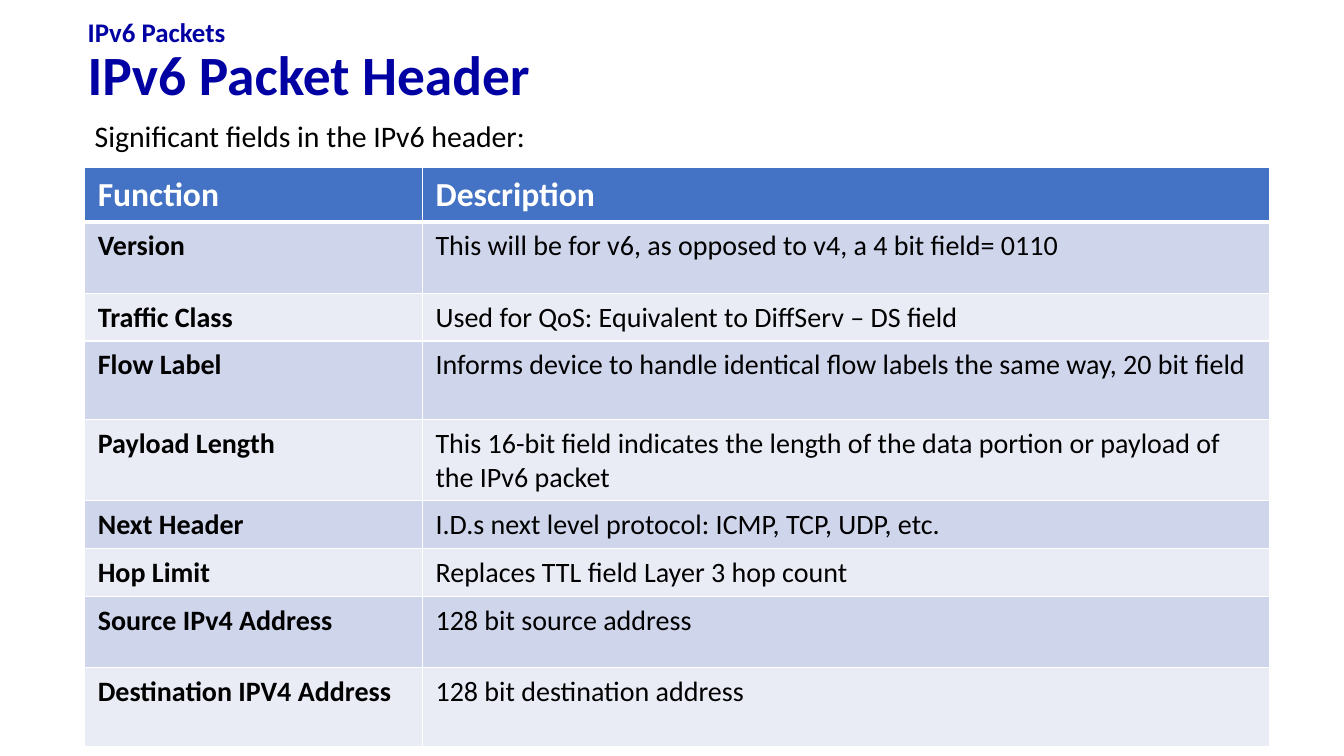
from lxml import etree
from pptx import Presentation
from pptx.dml.color import RGBColor
from pptx.enum import text
from pptx.oxml.ns import qn
from pptx.util import Inches, Pt

FONT = "Calibri"
NAVY, BLACK, WHITE = "0000A3", "000000", "FFFFFF"
HEADER_FILL = "4472C4"
BAND_FILLS = ["CFD5EA", "E9EBF5"]

COLUMN_WIDTHS = [3.35, 8.4]
ROW_HEIGHTS = [0.52, 0.71, 0.46, 0.78, 0.78, 0.46, 0.46, 0.71, 0.78]
HEADER_FIELDS = [
    ("Function", "Description"),
    ("Version", "This will be for v6, as opposed to v4, a 4 bit field= 0110"),
    ("Traffic Class", "Used for QoS: Equivalent to DiffServ – DS field"),
    ("Flow Label", "Informs device to handle identical flow labels the same way, 20 bit field"),
    ("Payload Length", "This 16-bit field indicates the length of the data portion or payload of the IPv6 packet"),
    ("Next Header", "I.D.s next level protocol: ICMP, TCP, UDP, etc."),
    ("Hop Limit", "Replaces TTL field Layer 3 hop count"),
    ("Source IPv4 Address", "128 bit source address"),
    ("Destination IPV4 Address", "128 bit destination address"),
]


def color(value):
    return RGBColor.from_string(value)


def add_span(para, words, size, shade, bold=False):
    span = para.add_run()
    span.text = words
    span.font.name = FONT
    span.font.size = Pt(size)
    span.font.bold = bold
    span.font.color.rgb = color(shade)


def set_title(page, topic, heading):
    title = page.shapes.title
    title.left, title.top = Inches(0.77), Inches(0.14)
    title.width, title.height = Inches(11.5), Inches(0.98)
    frame = title.text_frame
    frame.auto_size = text.MSO_AUTO_SIZE.NONE
    frame.vertical_anchor = text.MSO_ANCHOR.MIDDLE
    para = frame.paragraphs[0]
    para.alignment = text.PP_ALIGN.LEFT
    para.line_spacing = 0.9
    add_span(para, topic, 19.2, NAVY, True)
    para.add_line_break()
    add_span(para, heading, 39.6, NAVY, True)


def add_intro(page, words):
    box = page.shapes.add_textbox(Inches(0.84), Inches(1.16), Inches(11.09), Inches(0.53))
    box.text_frame.word_wrap = True
    para = box.text_frame.paragraphs[0]
    para.line_spacing = 0.9
    add_span(para, words, 21.3, BLACK)


def set_borders(cell, top, bottom):
    """Draw white cell borders; top and bottom are widths in points."""
    properties = cell._tc.get_or_add_tcPr()
    for side, width in (("L", 1), ("R", 1), ("T", top), ("B", bottom)):
        line = etree.SubElement(properties, qn(f"a:ln{side}"), w=str(Pt(width)))
        fill = etree.SubElement(line, qn("a:solidFill"))
        etree.SubElement(fill, qn("a:srgbClr"), val=WHITE)


def fill_cell(cell, words, row, column):
    is_header = row == 0
    set_borders(cell, 3 if row == 1 else 1, 3 if is_header else 1)
    cell.fill.solid()
    cell.fill.fore_color.rgb = color(HEADER_FILL if is_header else BAND_FILLS[(row - 1) % 2])
    cell.margin_left = cell.margin_right = Inches(0.13)
    cell.margin_top = cell.margin_bottom = Inches(0.07)
    add_span(cell.text_frame.paragraphs[0], words, 24 if is_header else 20,
             WHITE if is_header else BLACK, is_header or column == 0)


def add_field_table(page):
    table = page.shapes.add_table(
        len(HEADER_FIELDS), len(COLUMN_WIDTHS), Inches(0.84), Inches(1.66),
        Inches(sum(COLUMN_WIDTHS)), Inches(sum(ROW_HEIGHTS))).table
    for column, width in zip(table.columns, COLUMN_WIDTHS):
        column.width = Inches(width)
    for row, height in zip(table.rows, ROW_HEIGHTS):
        row.height = Inches(height)
    for row, field in enumerate(HEADER_FIELDS):
        for column, words in enumerate(field):
            fill_cell(table.cell(row, column), words, row, column)


def main():
    deck = Presentation()
    deck.slide_width, deck.slide_height = Inches(13.33), Inches(7.5)
    page = deck.slides.add_slide(deck.slide_layouts.get_by_name("Title Only"))
    set_title(page, "IPv6 Packets", "IPv6 Packet Header")
    add_intro(page, "Significant fields in the IPv6 header:")
    add_field_table(page)
    deck.save("out.pptx")


if __name__ == "__main__":
    main()
